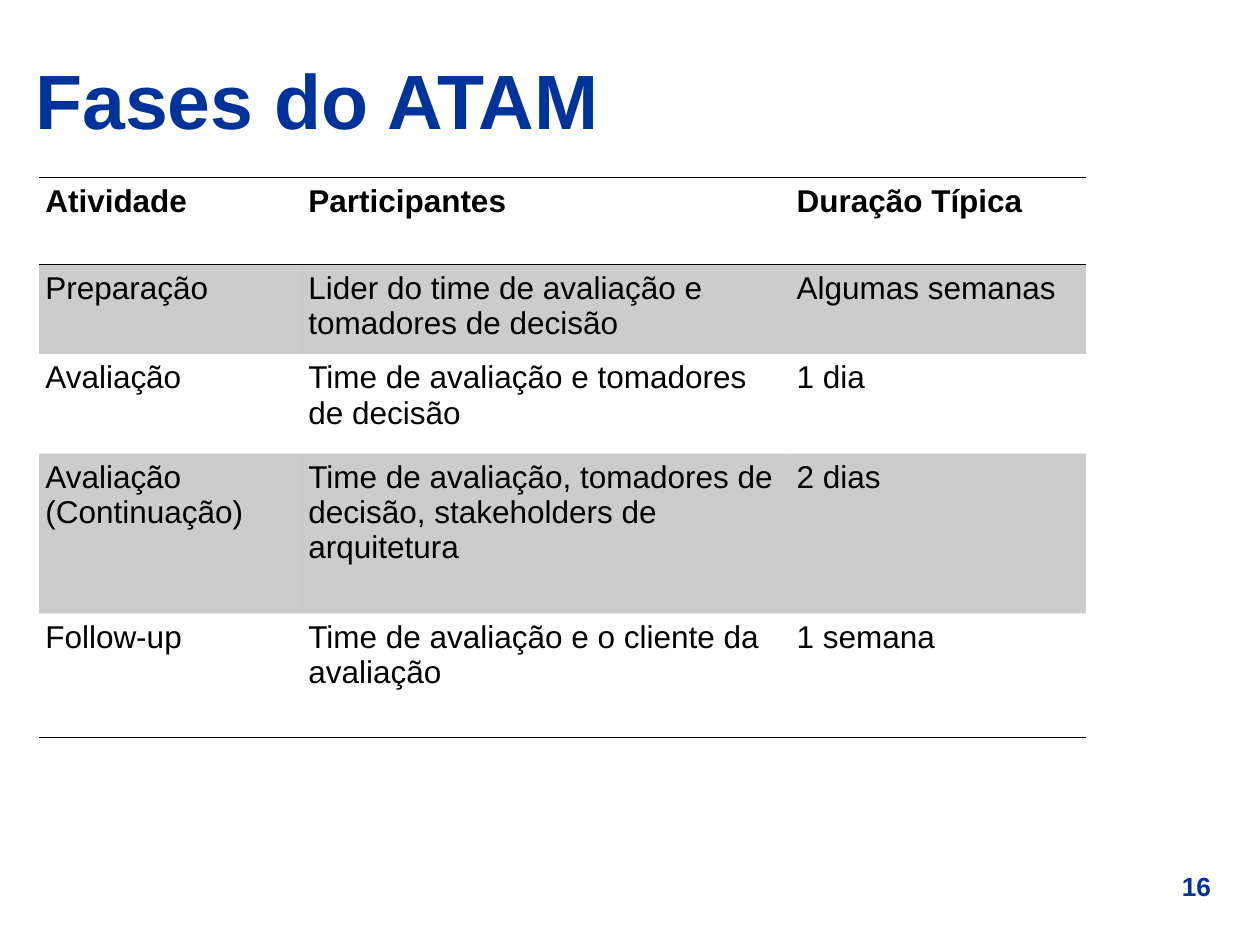
import pptx
import pptx.dml.color
import pptx.enum.text
import pptx.oxml
import pptx.oxml.ns
import pptx.util
import lxml.etree

Inches = pptx.util.Inches
Pt = pptx.util.Pt
qn = pptx.oxml.ns.qn
ALIGN = pptx.enum.text.PP_ALIGN
ANCHOR = pptx.enum.text.MSO_ANCHOR

COLORS = {"heading": "003399", "ink": "000000"}
NO_STYLE = "{2D5ABB26-0587-4C30-8999-92F81FD0307C}"
BORDER_WIDTH = 0.45
BAND_ALPHA = 20

COLUMN_WIDTHS = [2.09, 3.88, 2.35]
ROW_HEIGHTS = [0.69, 0.71, 0.79, 1.27, 0.98]
PHASES = [
    ["Atividade", "Participantes", "Duração Típica"],
    ["Preparação", "Lider do time de avaliação e tomadores de decisão", "Algumas semanas"],
    ["Avaliação", "Time de avaliação e tomadores de decisão", "1 dia"],
    ["Avaliação (Continuação)",
     "Time de avaliação, tomadores de decisão, stakeholders de arquitetura", "2 dias"],
    ["Follow-up", "Time de avaliação e o cliente da avaliação", "1 semana"],
]


def write_text(frame, text, size=18, color="ink", bold=False, align=ALIGN.LEFT):
    frame.word_wrap = True
    paragraph = frame.paragraphs[0]
    paragraph.alignment = align
    run = paragraph.add_run()
    run.text = text
    run.font.name = "Arial"
    run.font.size = Pt(size)
    run.font.bold = bold
    run.font.color.rgb = pptx.dml.color.RGBColor.from_string(COLORS[color])


def set_borders(cell, ruled_sides):
    properties = cell._tc.get_or_add_tcPr()
    for position, side in enumerate("LRTB"):
        line = pptx.oxml.parse_xml(
            f'<a:ln{side} {pptx.oxml.ns.nsdecls("a")} w="{int(Pt(BORDER_WIDTH))}"/>')
        if side in ruled_sides:
            fill = lxml.etree.SubElement(line, qn("a:solidFill"))
            lxml.etree.SubElement(fill, qn("a:srgbClr"), val=COLORS["ink"])
        else:
            lxml.etree.SubElement(line, qn("a:noFill"))
        properties.insert(position, line)


def fill_cell(cell, banded):
    if not banded:
        cell.fill.background()
        return
    cell.fill.solid()
    cell.fill.fore_color.rgb = pptx.dml.color.RGBColor.from_string(COLORS["ink"])
    tint = cell._tc.tcPr.find(".//" + qn("a:srgbClr"))
    lxml.etree.SubElement(tint, qn("a:alpha"), val=str(BAND_ALPHA * 1000))


def place_title(slide, left, top, width, height):
    title = slide.shapes.title
    title.left, title.top, title.width, title.height = left, top, width, height
    title.text_frame.vertical_anchor = ANCHOR.MIDDLE
    write_text(title.text_frame, "Fases do ATAM", size=44, color="heading", bold=True)


def place_phases(slide, left, top, width, height):
    phases = slide.shapes.add_table(
        len(PHASES), len(COLUMN_WIDTHS), left, top, width, height).table
    phases.first_row = False
    phases.horz_banding = False
    phases._tbl.tblPr.find(qn("a:tableStyleId")).text = NO_STYLE
    for column, share in zip(phases.columns, COLUMN_WIDTHS):
        column.width = int(width * share / sum(COLUMN_WIDTHS))
    for row, share in zip(phases.rows, ROW_HEIGHTS):
        row.height = int(height * share / sum(ROW_HEIGHTS))

    ruled_sides = {0: "TB", 1: "T", len(PHASES) - 1: "B"}
    for row_index, phase in enumerate(PHASES):
        for column_index, text in enumerate(phase):
            cell = phases.cell(row_index, column_index)
            cell.margin_left = cell.margin_right = Inches(0.05)
            cell.margin_top = cell.margin_bottom = Inches(0.05)
            write_text(cell.text_frame, text, bold=row_index == 0)
            fill_cell(cell, banded=row_index % 2 == 1)
            set_borders(cell, ruled_sides.get(row_index, ""))


def place_page_number(slide, left, top, width, height):
    page_number = slide.shapes.add_textbox(left, top, width, height)
    write_text(page_number.text_frame, "16", size=15, color="heading", bold=True,
               align=ALIGN.CENTER)


def main():
    deck = pptx.Presentation()
    deck.slide_width, deck.slide_height = Inches(10), Inches(7.5)
    slide = deck.slides.add_slide(deck.slide_layouts[5])
    place_page_number(slide, Inches(9.1), Inches(6.86), Inches(0.79), Inches(0.35))
    place_title(slide, Inches(0.18), Inches(0.28), Inches(9.62), Inches(1.01))
    place_phases(slide, Inches(0.31), Inches(1.41), Inches(8.31), Inches(4.44))
    deck.save("out.pptx")


if __name__ == "__main__":
    main()
